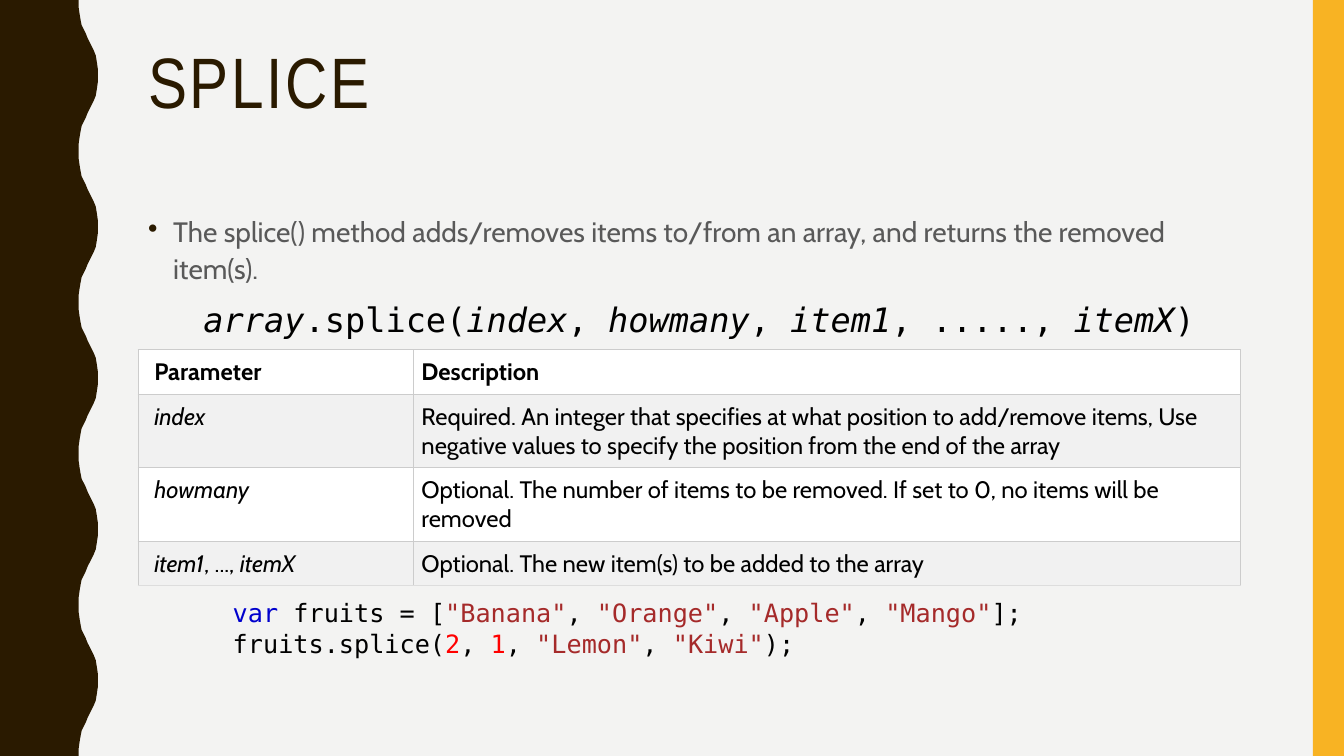
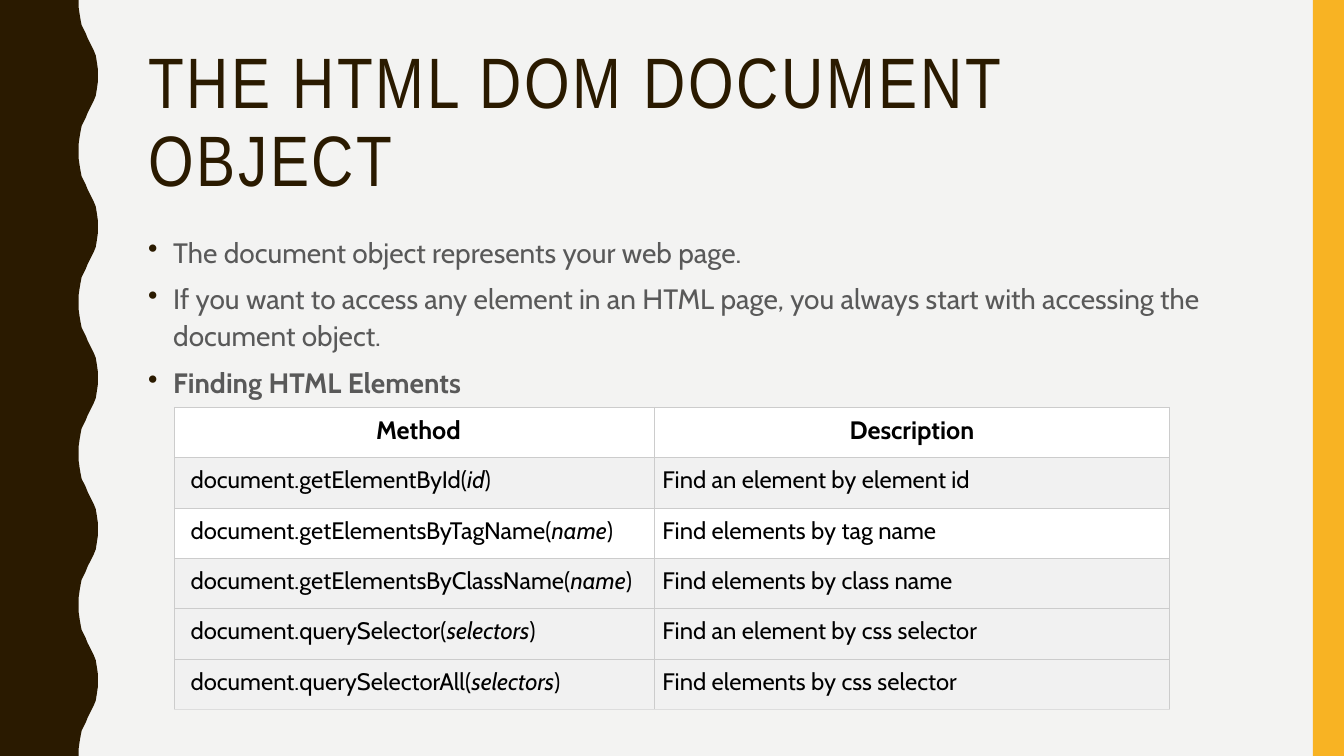
from lxml.etree import SubElement
from pptx import Presentation
from pptx.dml.color import RGBColor
from pptx.enum.shapes import MSO_SHAPE
from pptx.enum.text import MSO_ANCHOR, PP_ALIGN
from pptx.oxml import parse_xml
from pptx.oxml.ns import nsdecls, qn
from pptx.util import Inches, Pt

COLORS = {
    "background": "F3F3F2",
    "brown": "2A1A00",
    "amber": "F8B323",
    "body": "595959",
    "black": "000000",
    "white": "FFFFFF",
    "stripe": "F1F1F1",
    "border": "CCCCCC",
    "last_border": "DDDDDD",
    "keyword": "0000CD",
    "string": "A52A2A",
    "number": "FF0000",
}
TITLE_FONT, BODY_FONT, CODE_FONT = "Arial Narrow", "Cabin", "DejaVu Sans Mono"
SLIDE_WIDTH, SLIDE_HEIGHT = 13.33, 7.5
CONTENT_LEFT, CONTENT_WIDTH = 1.37, 11.13

# Half a wave of the left band, as (y, x); the other half mirrors it
WAVE_PERIOD = 1.5
HALF_WAVE = [
    (0, 0.78), (0.07, 0.78), (0.14, 0.79), (0.2, 0.8), (0.25, 0.81),
    (0.29, 0.83), (0.33, 0.85), (0.38, 0.87), (0.42, 0.89), (0.46, 0.91),
    (0.5, 0.93), (0.55, 0.95), (0.61, 0.96), (0.68, 0.97), (0.75, 0.97),
]


def color(name):
    return RGBColor.from_string(COLORS[name])


# Text
def add_run(paragraph, text, font, size, color_name, bold=False, italic=False):
    run = paragraph.add_run()
    run.text = text
    run.font.name = font
    run.font.size = Pt(size)
    run.font.bold = bold
    run.font.italic = italic
    run.font.color.rgb = color(color_name)
    return run


def add_alternating_runs(paragraph, parts, font, size, italic=False):
    """Add upright and italic parts in turn."""
    for part in parts:
        add_run(paragraph, part, font, size, "black", italic=italic)
        italic = not italic


def add_text_box(slide, left, top, width, height):
    frame = slide.shapes.add_textbox(
        Inches(left), Inches(top), Inches(width), Inches(height)).text_frame
    frame.word_wrap = True
    frame.vertical_anchor = MSO_ANCHOR.TOP
    return frame


def add_title(slide, text):
    paragraph = add_text_box(
        slide, CONTENT_LEFT, 0.42, CONTENT_WIDTH, 1.63).paragraphs[0]
    paragraph.line_spacing = 0.9
    run = add_run(paragraph, text, TITLE_FONT, 51, "brown")
    run.font._element.set("spc", "200")


def next_paragraph(frame):
    """Use the first paragraph while it is empty, then add spaced ones."""
    paragraph = frame.paragraphs[0]
    if paragraph.runs:
        paragraph = frame.add_paragraph()
        paragraph.space_before = Pt(7)
    paragraph.line_spacing = 1.1
    return paragraph


def add_bullet(frame, text, bold=False):
    paragraph = next_paragraph(frame)
    properties = paragraph._p.get_or_add_pPr()
    properties.set("marL", str(Inches(0.25)))
    properties.set("indent", str(-Inches(0.25)))
    bullet_color = SubElement(properties, qn("a:buClr"))
    SubElement(bullet_color, qn("a:srgbClr"), val=COLORS["brown"])
    SubElement(properties, qn("a:buChar"), char="•")
    add_run(paragraph, text, BODY_FONT, 20, "body", bold=bold)


def add_code(slide, left, top, width, height, lines):
    paragraph = add_text_box(slide, left, top, width, height).paragraphs[0]
    for index, line in enumerate(lines):
        if index:
            paragraph.add_line_break()
        for text, color_name in line:
            add_run(paragraph, text, CODE_FONT, 18, color_name)


# Tables
def set_borders(cell, bottom):
    sides = {"L": "border", "R": "border", "T": "border", "B": bottom}
    properties = cell._tc.get_or_add_tcPr()
    for index, (side, color_name) in enumerate(sides.items()):
        properties.insert(index, parse_xml(
            f'<a:ln{side} {nsdecls("a")} w="{Pt(0.75)}"><a:solidFill>'
            f'<a:srgbClr val="{COLORS[color_name]}"/>'
            f'</a:solidFill></a:ln{side}>'))


def style_cell(cell, fill, bottom, left_margin):
    cell.fill.solid()
    cell.fill.fore_color.rgb = color(fill)
    cell.margin_left = Inches(left_margin)
    cell.margin_top = cell.margin_right = cell.margin_bottom = Inches(0.08)
    set_borders(cell, bottom)


def add_parameter_table(slide, left, top, column_widths, row_height, header,
                        rows, white_rows, header_size=17,
                        header_align=PP_ALIGN.LEFT, first_italic=False):
    """Each row holds alternating parts for column one and a description."""
    row_count = len(rows) + 1
    table = slide.shapes.add_table(
        row_count, len(column_widths), Inches(left), Inches(top),
        Inches(sum(column_widths)), Inches(row_height * row_count)).table
    table.horz_banding = False
    for column, width in zip(table.columns, column_widths):
        column.width = Inches(width)
    for row_index, row in enumerate(table.rows):
        row.height = Inches(row_height)
        fill = "white" if row_index in white_rows else "stripe"
        bottom = "last_border" if row_index == len(rows) else "border"
        for cell, left_margin in zip(row.cells, (0.16, 0.08)):
            style_cell(cell, fill, bottom, left_margin)

    for column_index, text in enumerate(header):
        paragraph = table.cell(0, column_index).text_frame.paragraphs[0]
        paragraph.alignment = header_align
        add_run(paragraph, text, BODY_FONT, header_size, "black", bold=True)
    for row_index, (parts, description) in enumerate(rows, start=1):
        name, detail = (table.cell(row_index, column).text_frame.paragraphs[0]
                        for column in range(2))
        add_alternating_runs(name, parts, BODY_FONT, 17, first_italic)
        add_run(detail, description, BODY_FONT, 17, "black")


# Shared slide frame
def paint(shape, color_name):
    shape.shadow.inherit = False
    shape.fill.solid()
    shape.fill.fore_color.rgb = color(color_name)
    shape.line.fill.background()


def add_wave_band(slide):
    mirrored = [(WAVE_PERIOD - y, x) for y, x in reversed(HALF_WAVE[:-1])]
    points = [(x, y + wave * WAVE_PERIOD)
              for wave in range(round(SLIDE_HEIGHT / WAVE_PERIOD))
              for y, x in HALF_WAVE + mirrored]
    builder = slide.shapes.build_freeform(0, 0)
    builder.add_line_segments(
        [(Inches(x), Inches(y)) for x, y in points + [(0, SLIDE_HEIGHT)]],
        close=True)
    paint(builder.convert_to_shape(), "brown")


def add_base_slide(presentation, title):
    slide = presentation.slides.add_slide(presentation.slide_layouts[6])
    slide.background.fill.solid()
    slide.background.fill.fore_color.rgb = color("background")
    add_wave_band(slide)
    band = slide.shapes.add_shape(
        MSO_SHAPE.RECTANGLE, Inches(13.02), 0, Inches(0.31),
        Inches(SLIDE_HEIGHT))
    paint(band, "amber")
    add_title(slide, title)
    return slide


# Slides
def build_splice_slide(presentation):
    slide = add_base_slide(presentation, "SPLICE")
    body = add_text_box(slide, CONTENT_LEFT, 2.05, CONTENT_WIDTH, 4.88)
    add_bullet(body, "The splice() method adds/removes items to/from an array, "
                     "and returns the removed item(s).")
    syntax = next_paragraph(body)
    syntax.alignment = PP_ALIGN.CENTER
    add_alternating_runs(
        syntax,
        ["array", ".splice(", "index", ", ", "howmany", ",", " item1",
         ", ....., ", "itemX", ")"],
        CODE_FONT, 24, italic=True)
    add_parameter_table(
        slide, CONTENT_LEFT, 3.47, (2.73, 8.2), 0.44,
        ("Parameter", "Description"),
        [
            (["index"], "Required. An integer that specifies at what position "
                        "to add/remove items, Use negative values to specify "
                        "the position from the end of the array"),
            (["howmany"], "Optional. The number of items to be removed. "
                          "If set to 0, no items will be removed"),
            (["item1", ", ..., ", "itemX"],
             "Optional. The new item(s) to be added to the array"),
        ],
        white_rows=(0, 2), first_italic=True)
    comma = (", ", "black")
    add_code(slide, 2.21, 5.88, 9.25, 0.71, [
        [("var", "keyword"), (" fruits = [", "black"),
         ('"Banana"', "string"), comma, ('"Orange"', "string"), comma,
         ('"Apple"', "string"), comma, ('"Mango"', "string"),
         ("];", "black")],
        [("fruits.splice(", "black"), ("2", "number"), comma,
         ("1", "number"), comma, ('"Lemon"', "string"), comma,
         ('"Kiwi"', "string"), (");", "black")],
    ])


def build_document_slide(presentation):
    slide = add_base_slide(presentation, "THE HTML DOM DOCUMENT OBJECT")
    body = add_text_box(slide, CONTENT_LEFT, 2.25, CONTENT_WIDTH, 2.21)
    add_bullet(body, "The document object represents your web page.")
    add_bullet(body, "If you want to access any element in an HTML page, you "
                     "always start with accessing the document object.")
    add_bullet(body, "Finding HTML Elements", bold=True)
    methods = [
        ("getElementById", "id", "Find an element by element id"),
        ("getElementsByTagName", "name", "Find elements by tag name"),
        ("getElementsByClassName", "name", "Find elements by class name"),
        ("querySelector", "selectors", "Find an element by css selector"),
        ("querySelectorAll", "selectors", "Find elements by css selector"),
    ]
    add_parameter_table(
        slide, 1.73, 4.04, (4.76, 5.11), 0.5, ("Method", "Description"),
        [([f"document.{method}(", argument, ")"], description)
         for method, argument, description in methods],
        white_rows=(0, 2), header_size=18, header_align=PP_ALIGN.CENTER)


def main():
    presentation = Presentation()
    presentation.slide_width = Inches(SLIDE_WIDTH)
    presentation.slide_height = Inches(SLIDE_HEIGHT)
    build_splice_slide(presentation)
    build_document_slide(presentation)
    presentation.save("out.pptx")


if __name__ == "__main__":
    main()
